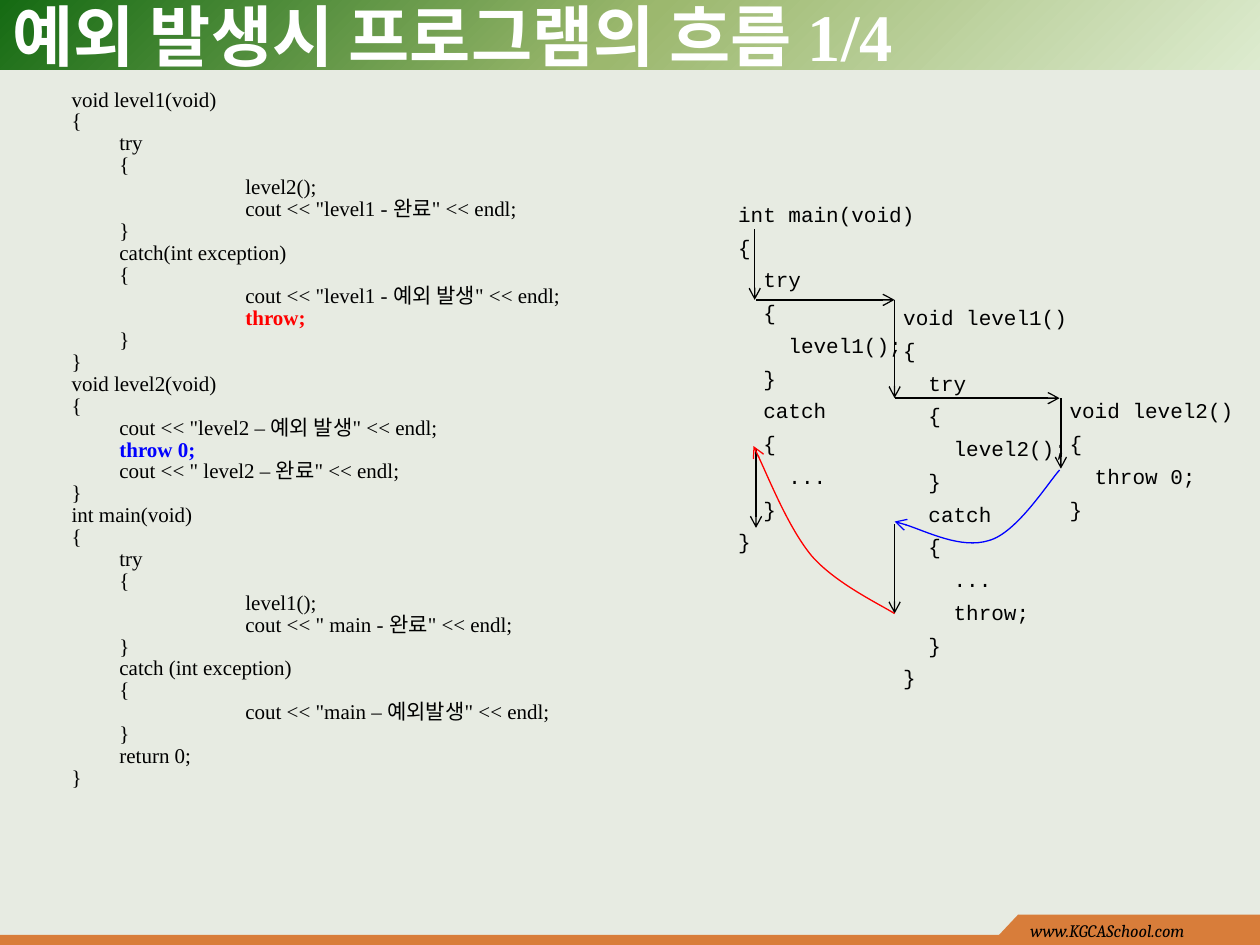
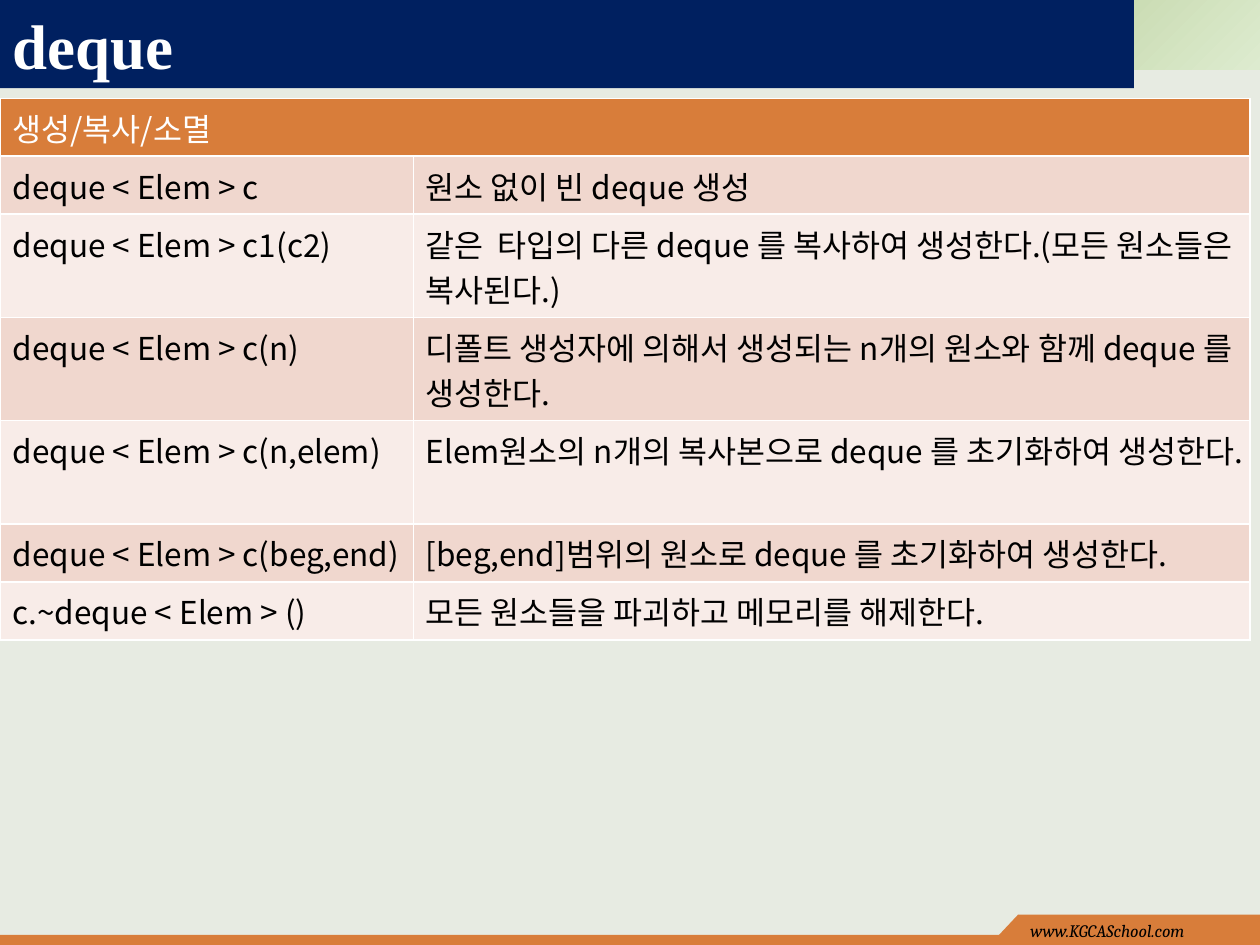
from lxml.etree import SubElement
from pptx import Presentation
from pptx.dml.color import RGBColor
from pptx.enum.shapes import MSO_CONNECTOR, MSO_SHAPE
from pptx.enum.text import MSO_ANCHOR, MSO_AUTO_SIZE
from pptx.oxml import parse_xml
from pptx.oxml.ns import nsdecls, qn
from pptx.util import Inches, Pt

RECT = MSO_SHAPE.RECTANGLE
STRAIGHT = MSO_CONNECTOR.STRAIGHT
MIDDLE = MSO_ANCHOR.MIDDLE
GROW = MSO_AUTO_SIZE.SHAPE_TO_FIT_TEXT

PAPER = RGBColor(0xE7, 0xEB, 0xE2)
ORANGE = RGBColor(0xD8, 0x7D, 0x3A)
NAVY = RGBColor(0x00, 0x20, 0x60)
BLACK = RGBColor(0, 0, 0)
WHITE = RGBColor(255, 255, 255)
RED = RGBColor(255, 0, 0)
BLUE = RGBColor(0, 0, 255)
ROSE = RGBColor(0xF0, 0xD7, 0xCE)
BLUSH = RGBColor(0xF8, 0xEC, 0xE8)
MINT = RGBColor(0xDD, 0xEB, 0xCF)
OLIVE = RGBColor(0x9C, 0xB8, 0x6E)
GREEN = RGBColor(0x15, 0x6B, 0x13)

SERIF = "Times New Roman"
MONO = "Courier New"
SANS = "Noto Sans CJK KR"

SOURCE = """void level1(void)
{
\ttry
\t{
\t\tlevel2();
\t\tcout << "level1 - 완료" << endl;
\t}
\tcatch(int exception)
\t{
\t\tcout << "level1 - 예외 발생" << endl;
\t\tthrow;
\t}
}
void level2(void)
{
\tcout << "level2 – 예외 발생" << endl;
\tthrow 0;
\tcout << " level2 – 완료" << endl;
}
int main(void)
{
\ttry
\t{
\t\tlevel1();
\t\tcout << " main - 완료" << endl;
\t}
\tcatch (int exception)
\t{
\t\tcout << "main – 예외발생" << endl;
\t}
\treturn 0;
}"""

MAIN = """int main(void)
{
  try
  {
    level1();
  }
  catch
  {
    ...
  }
}"""

LEVEL1 = """void level1()
{
  try
  {
    level2();
  }
  catch
  {
    ...
    throw;
  }
}"""

LEVEL2 = """void level2()
{
  throw 0;
}"""

ROWS = [
    (0.46, "deque < Elem > c", "원소 없이 빈 deque 생성"),
    (0.82, "deque < Elem > c1(c2)",
     "같은  타입의 다른 deque 를 복사하여 생성한다.(모든 원소들은 복사된다.)"),
    (0.82, "deque < Elem > c(n)",
     "디폴트 생성자에 의해서 생성되는 n개의 원소와 함께 deque 를 생성한다."),
    (0.82, "deque < Elem > c(n,elem)",
     "Elem원소의 n개의 복사본으로 deque 를 초기화하여 생성한다."),
    (0.46, "deque < Elem > c(beg,end)",
     "[beg,end]범위의 원소로 deque 를 초기화하여 생성한다."),
    (0.46, "c.~deque < Elem > ()", "모든 원소들을 파괴하고 메모리를 해제한다."),
]


def write(frame, text, size=12, font=SERIF, color=BLACK, bold=False,
          italic=False, spacing=None, before=0, hang=0, accents=None):
    """Write text into a frame, one paragraph a line."""
    for i, line in enumerate(text.split("\n")):
        para = frame.paragraphs[0] if i == 0 else frame.add_paragraph()
        if spacing:
            para.line_spacing = spacing
        if i and before:
            para.space_before = Pt(before)
        if hang:
            props = para._p.get_or_add_pPr()
            props.set("marL", str(Inches(hang)))
            props.set("indent", str(-Inches(hang)))
            props.set("defTabSz", str(Inches(1)))
        accent = (accents or {}).get(line.strip())
        run = para.add_run()
        run.text = line
        run.font.size = Pt(size)
        run.font.name = font
        run.font.bold = bold or accent is not None
        run.font.italic = italic
        run.font.color.rgb = accent or color


def label(slide, box, text, wrap=True, anchor=None, grow=False, **style):
    """Add a text box at the given box in inches."""
    shape = slide.shapes.add_textbox(*map(Inches, box))
    frame = shape.text_frame
    frame.word_wrap = wrap
    if anchor is not None:
        frame.vertical_anchor = anchor
    if grow:
        frame.auto_size = GROW
    write(frame, text, **style)
    return shape


def paint(shape, color):
    """Give a shape a flat fill with no line or shadow."""
    shape.shadow.inherit = False
    shape.fill.solid()
    shape.fill.fore_color.rgb = color
    shape.line.fill.background()


def block(slide, box, color):
    """Add a flat rectangle."""
    shape = slide.shapes.add_shape(RECT, *map(Inches, box))
    paint(shape, color)
    return shape


def outline(slide, points, close):
    """Build a freeform through points in inches."""
    spots = [(Inches(x), Inches(y)) for x, y in points]
    draft = slide.shapes.build_freeform(*spots[0])
    draft.add_line_segments(spots[1:], close=close)
    return draft.convert_to_shape()


def band(slide, box):
    """Add the top band with its round gradient."""
    props = block(slide, box, GREEN).element.spPr
    stops = "".join(
        f'<a:gs pos="{pos}"><a:srgbClr val="{color}"/></a:gs>'
        for pos, color in ((0, MINT), (50000, OLIVE), (100000, GREEN)))
    blend = parse_xml(
        f'<a:gradFill {nsdecls("a")} rotWithShape="1"><a:gsLst>{stops}</a:gsLst>'
        '<a:path path="circle"><a:fillToRect l="100000" t="100000"/></a:path>'
        '</a:gradFill>')
    props.replace(props.find(qn("a:solidFill")), blend)


def footer(slide, left, top, width):
    """Add the bottom strip, its raised tab and the address."""
    tab = left + width - 1.92
    block(slide, (left, top + 0.16, width, 0.08), ORANGE)
    block(slide, (tab, top, 1.92, 0.17), ORANGE)
    base = top + 0.17
    paint(outline(slide, [(tab - 0.16, base), (tab, base), (tab, top)], True),
          ORANGE)
    label(slide, (tab, top - 0.01, 1.92, 0.25), "www.KGCASchool.com",
          size=10, font="Cambria", italic=True)


def start(deck):
    """Add a slide with the shared background, band and footer."""
    slide = deck.slides.add_slide(deck.slide_layouts[6])
    slide.background.fill.solid()
    slide.background.fill.fore_color.rgb = PAPER
    band(slide, (0, 0, 10, 0.55))
    footer(slide, 0, 7.26, 10)
    return slide


def title(slide, box, text, size, fill=None):
    """Add the slide title, on a fill if one is given."""
    shape = label(slide, box, text, anchor=MIDDLE, size=size,
                  color=WHITE, bold=True)
    if fill:
        shape.fill.solid()
        shape.fill.fore_color.rgb = fill


def point(shape, color):
    """Make a thin line with an open arrowhead."""
    shape.line.color.rgb = color
    shape.line.width = Pt(0.75)
    line = shape.element.spPr.find(qn("a:ln"))
    SubElement(line, qn("a:tailEnd")).set("type", "arrow")


def arrow(slide, x1, y1, x2, y2):
    """Add a straight black arrow."""
    line = slide.shapes.add_connector(STRAIGHT, *map(Inches, (x1, y1, x2, y2)))
    point(line, BLACK)
    SubElement(line.element.spPr, qn("a:effectLst"))


def curve(slide, points, color):
    """Add a curved arrow from a start and triples of Bezier points."""
    shape = outline(slide, points, False)
    shape.shadow.inherit = False
    shape.fill.background()
    point(shape, color)
    route = shape.element.find(".//" + qn("a:path"))
    legs = route.findall(qn("a:lnTo"))
    for i in range(0, len(legs), 3):
        bend = SubElement(route, qn("a:cubicBezTo"))
        for leg in legs[i:i + 3]:
            bend.append(leg[0])
            route.remove(leg)


def flow(slide, left, top):
    """Draw the three functions and the path of control between them."""
    calls = [
        ((0, 0, 1.76, 2.97), MAIN, True),
        ((1.31, 0.82, 1.51, 3.23), LEVEL1, False),
        ((2.63, 1.56, 1.51, 1.14), LEVEL2, False),
    ]
    for (x, y, width, height), code, wrap in calls:
        label(slide, (left + x, top + y, width, height), code, wrap=wrap,
              grow=True, font=MONO, spacing=1.3)
    steps = [
        (0.23, 0.33, 0.23, 0.89), (0.24, 0.89, 1.34, 0.89),
        (1.34, 0.89, 1.34, 1.67), (1.34, 1.67, 2.65, 1.67),
        (2.66, 1.67, 2.66, 2.23), (0.24, 2.07, 0.24, 2.7),
        (1.34, 2.67, 1.34, 3.38),
    ]
    for x1, y1, x2, y2 in steps:
        arrow(slide, left + x1, top + y1, left + x2, top + y2)
    throws = [
        (RED, [(1.34, 3.38), (1.23, 3.31), (0.87, 3.14), (0.68, 2.92),
               (0.5, 2.7), (0.31, 2.23), (0.22, 2.05)]),
        (BLUE, [(2.65, 2.24), (2.56, 2.34), (2.31, 2.74), (2.09, 2.8),
                (1.87, 2.87), (1.49, 2.68), (1.34, 2.65)]),
    ]
    for color, points in throws:
        curve(slide, [(left + x, top + y) for x, y in points], color)


def fill_cell(cell, text, fill, color=BLACK):
    """Set the borders, fill and text of a table cell."""
    props = cell._tc.get_or_add_tcPr()
    for side in "LRTB":
        line = SubElement(props, qn(f"a:ln{side}"), w=str(Pt(1)))
        ink = SubElement(line, qn("a:solidFill"))
        SubElement(ink, qn("a:srgbClr"), val=str(WHITE))
    cell.fill.solid()
    cell.fill.fore_color.rgb = fill
    write(cell.text_frame, text, size=18, font=SANS, color=color)


def grid(slide, left, top, widths, head_height):
    """Add the table of deque constructors."""
    heights = [head_height] + [row[0] for row in ROWS]
    table = slide.shapes.add_table(
        len(heights), 2, Inches(left), Inches(top), Inches(sum(widths)),
        Inches(sum(heights))).table
    table.first_row = table.horz_banding = False
    for column, width in zip(table.columns, widths):
        column.width = Inches(width)
    for row, height in zip(table.rows, heights):
        row.height = Inches(height)
    head = table.cell(0, 0)
    head.merge(table.cell(0, 1))
    fill_cell(head, "생성/복사/소멸", ORANGE, WHITE)
    for r, row in enumerate(ROWS, 1):
        for c, text in enumerate(row[1:]):
            fill_cell(table.cell(r, c), text, ROSE if r % 2 else BLUSH)


def main():
    """Build both slides and save the deck."""
    deck = Presentation()
    deck.slide_width, deck.slide_height = Inches(10), Inches(7.5)

    slide = start(deck)
    label(slide, (0.47, 0.7, 4.97, 5.83), SOURCE, spacing=Pt(9.7), before=2.8,
          hang=0.38, accents={"throw;": RED, "throw 0;": BLUE})
    title(slide, (0, 0, 9.02, 0.55), "예외 발생시 프로그램의 흐름 1/4", 38)
    flow(slide, 5.76, 1.49)

    slide = start(deck)
    title(slide, (0, 0, 9, 0.7), "deque", 36, NAVY)
    grid(slide, 0, 0.78, (3.28, 6.64), 0.46)

    deck.save("out.pptx")


if __name__ == "__main__":
    main()
